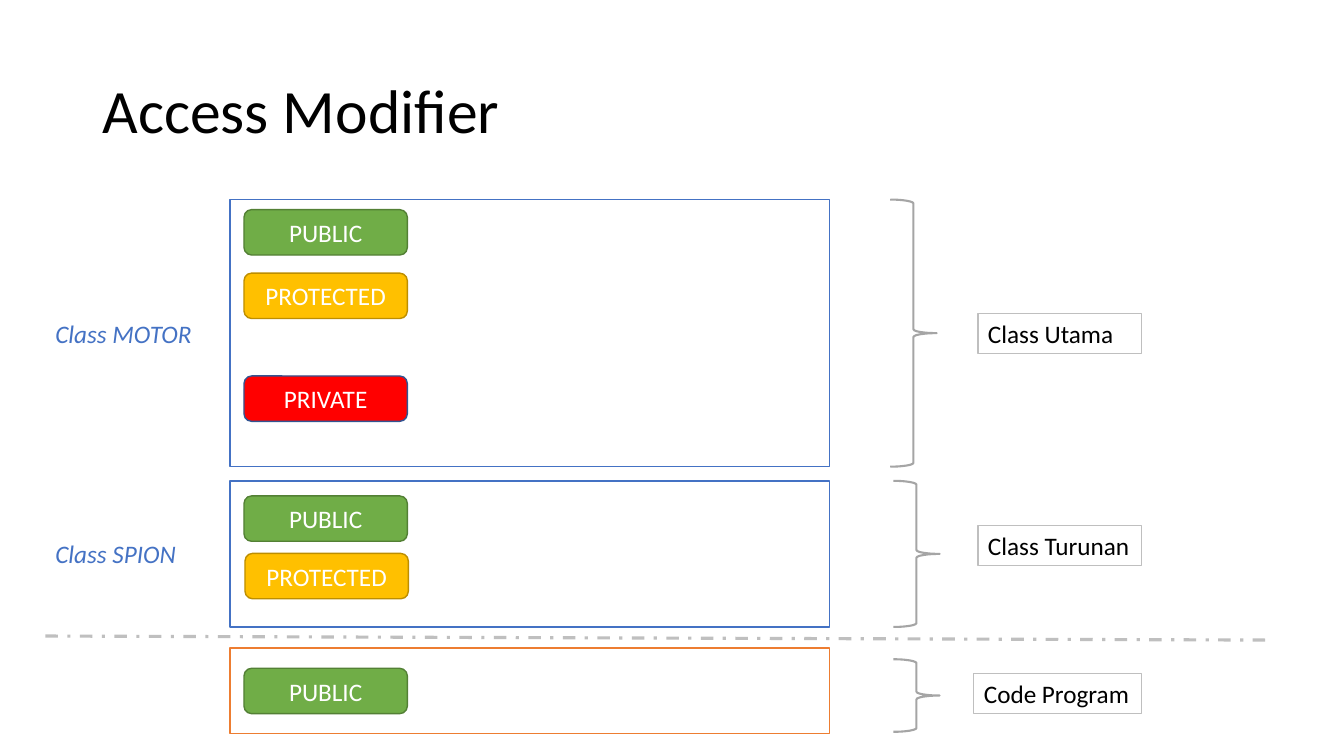
from lxml import etree
from pptx import Presentation
from pptx.dml.color import RGBColor
from pptx.enum.dml import MSO_LINE
from pptx.enum.shapes import MSO_CONNECTOR, MSO_SHAPE
from pptx.enum.text import MSO_ANCHOR, PP_ALIGN
from pptx.oxml.ns import qn
from pptx.util import Inches, Pt

RECT = MSO_SHAPE.RECTANGLE
ROUNDED = MSO_SHAPE.ROUNDED_RECTANGLE
BRACE = MSO_SHAPE.RIGHT_BRACE
STRAIGHT = MSO_CONNECTOR.STRAIGHT
DASH_DOT = MSO_LINE.DASH_DOT
MIDDLE = MSO_ANCHOR.MIDDLE
TOP = MSO_ANCHOR.TOP
LEFT = PP_ALIGN.LEFT
CENTER = PP_ALIGN.CENTER

FONT = "Calibri"
BLACK, WHITE = "000000", "FFFFFF"
BLUE, ORANGE = "4472C4", "ED7D31"
GRAY, LIGHT_GRAY = "A5A5A5", "BFBFBF"

MODIFIER_COLORS = {
    "PUBLIC": ("70AD47", "538035"),
    "PROTECTED": ("FFC000", "BD8E00"),
    "PRIVATE": ("FF0000", "325491"),
}
PANELS = [(1.98, 2.65, BLUE), (6.43, 0.85, ORANGE), (4.77, 1.45, BLUE)]
MODIFIERS = [
    ("PUBLIC", 2.42, 2.08),
    ("PROTECTED", 2.42, 2.71),
    ("PRIVATE", 2.42, 3.73),
    ("PUBLIC", 2.42, 4.92),
    ("PROTECTED", 2.43, 5.49),
    ("PUBLIC", 2.42, 6.63),
]
BRACES = [(8.83, 1.98, 2.65), (8.86, 4.77, 1.45), (8.86, 6.54, 0.72)]
ROLES = [
    ("Class Utama", 9.7, 3.11, 1.62, True),
    ("Class Turunan", 9.7, 5.21, 1.62, False),
    ("Code Program", 9.66, 6.68, 1.66, False),
]
CLASS_NAMES = [("Class MOTOR", 3.11), ("Class SPION", 5.29)]


def rgb(color):
    return RGBColor.from_string(color)


def write(shape, text, color, size=18, align=LEFT, anchor=TOP, italic=False, wrap=True):
    frame = shape.text_frame
    frame.text = text
    frame.word_wrap = wrap
    frame.vertical_anchor = anchor
    paragraph = frame.paragraphs[0]
    paragraph.alignment = align
    font = paragraph.runs[0].font
    font.name = FONT
    font.size = Pt(size)
    font.italic = italic
    font.color.rgb = rgb(color)
    return paragraph


def add_outline(slide, kind, left, top, width, height, line, weight=1, fill=None):
    shape = slide.shapes.add_shape(
        kind, Inches(left), Inches(top), Inches(width), Inches(height))
    shape.shadow.inherit = False
    if fill:
        shape.fill.solid()
        shape.fill.fore_color.rgb = rgb(fill)
    else:
        shape.fill.background()
    shape.line.color.rgb = rgb(line)
    shape.line.width = Pt(weight)
    return shape


def add_label(slide, left, top, width, height, text, color, **style):
    label = slide.shapes.add_textbox(
        Inches(left), Inches(top), Inches(width), Inches(height))
    return write(label, text, color, **style)


def add_modifier(slide, name, left, top):
    fill, line = MODIFIER_COLORS[name]
    badge = add_outline(slide, ROUNDED, left, top, 1.62, 0.45, line, fill=fill)
    write(badge, name, WHITE, align=CENTER, anchor=MIDDLE)


def add_divider(slide, start, end):
    divider = slide.shapes.add_connector(STRAIGHT, *map(Inches, start + end))
    divider.line.color.rgb = rgb(LIGHT_GRAY)
    divider.line.width = Pt(2.25)
    divider.line.dash_style = DASH_DOT
    etree.SubElement(divider._element.spPr, qn("a:effectLst"))


def main():
    deck = Presentation()
    deck.slide_width = Inches(13.33)
    deck.slide_height = Inches(7.5)
    slide = deck.slides.add_slide(deck.slide_layouts[6])

    title = add_label(slide, 0.92, 0.4, 11.5, 1.45, "Access Modifier", BLACK,
                      size=44, anchor=MIDDLE)
    title.line_spacing = 0.9

    for top, height, line in PANELS:
        add_outline(slide, RECT, 2.28, top, 5.95, height, line, fill=WHITE)
    for name, left, top in MODIFIERS:
        add_modifier(slide, name, left, top)
    for left, top, height in BRACES:
        add_outline(slide, BRACE, left, top, 0.46, height, GRAY, 1.5)
    for text, left, top, width, wrap in ROLES:
        role = add_outline(slide, RECT, left, top, width, 0.4, LIGHT_GRAY, 0.75)
        write(role, text, BLACK, wrap=wrap)
    for text, top in CLASS_NAMES:
        add_label(slide, 0.45, top, 1.62, 0.4, text, BLUE, italic=True)
    add_divider(slide, (0.45, 6.31), (12.58, 6.35))

    deck.save("out.pptx")


if __name__ == "__main__":
    main()
